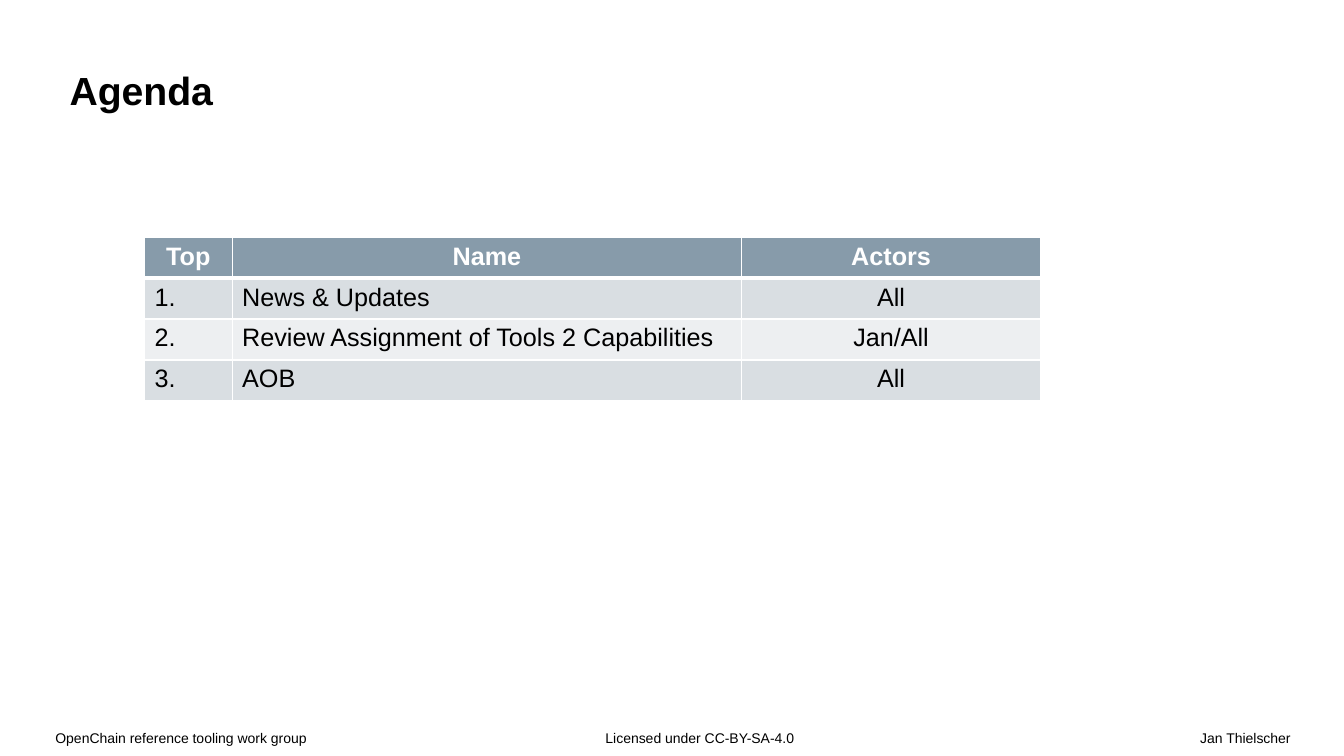
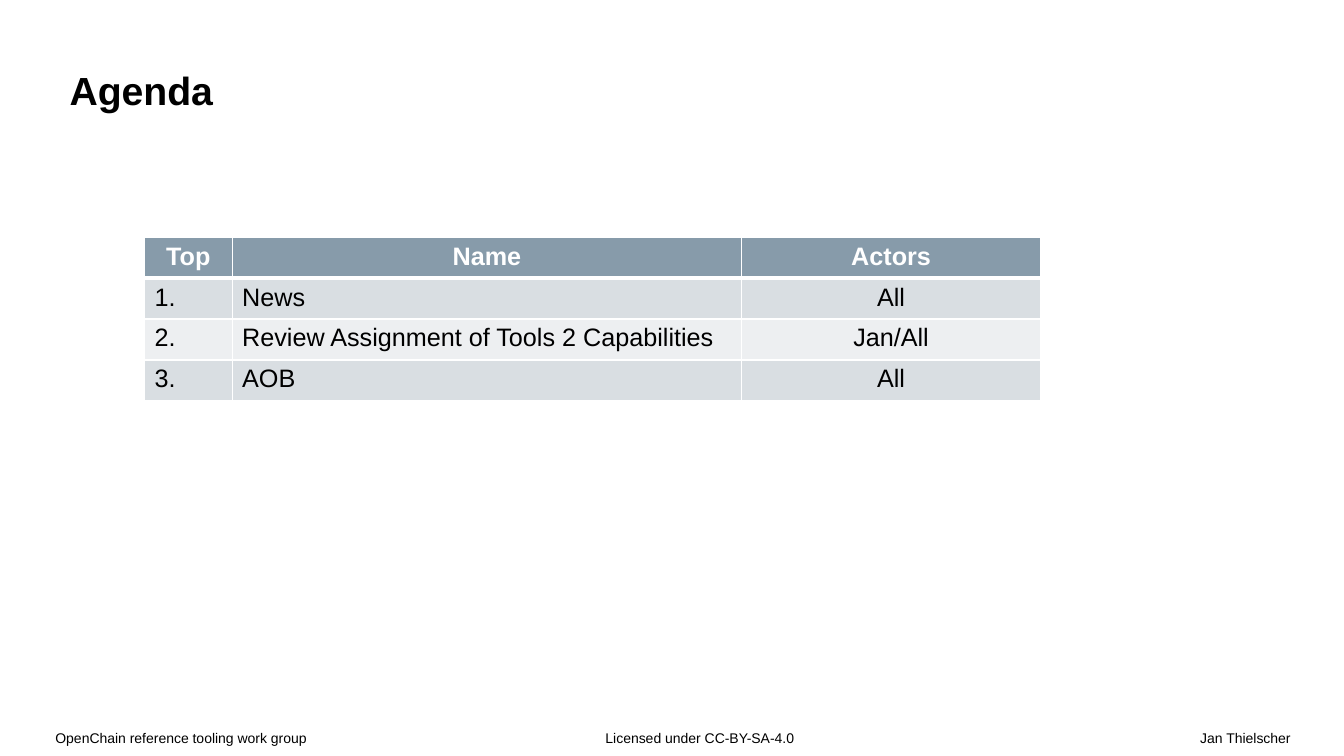
from lxml.etree import SubElement
from pptx import Presentation
from pptx.dml.color import RGBColor
from pptx.enum.text import MSO_ANCHOR, MSO_AUTO_SIZE, PP_ALIGN
from pptx.oxml.ns import qn
from pptx.util import Pt

# Content
HEADER = ("Top", "Name", "Actors")
REVIEW = ("Review Assignment of Tools 2 Capabilities", "Jan/All")
CLOSING = ("AOB", "All")
AGENDAS = [
    [("News & Updates", "All"), REVIEW, CLOSING],
    [("News", "All"), REVIEW, CLOSING],
]

# Shared style
FONT = "Arial"
BLACK, WHITE = "000000", "FFFFFF"
HEADER_FILL = "879BAA"
ROW_FILLS = ("D9DEE2", "EDEFF1")
SLIDE_WIDTH, SLIDE_HEIGHT = 960.5, 540
FOOTER_TOP, FOOTER_HEIGHT = 519.8, 20.2
# Text, left, width, left inset, right inset, alignment
FOOTERS = [
    ("OpenChain reference tooling work group", 22.3, 245, 17.3, 0, PP_ALIGN.LEFT),
    ("Licensed under CC-BY-SA-4.0", 383, 217, 49.7, 0, PP_ALIGN.LEFT),
    ("Jan Thielscher", 298, 662.5, 0, 38.2, PP_ALIGN.RIGHT),
]
TABLE_LEFT, TABLE_TOP, ROW_HEIGHT = 103.3, 169.5, 29.2
COLUMN_WIDTHS = (62.6, 364.3, 213.3)


def color(value):
    return RGBColor.from_string(value)


def set_insets(text_frame, left, top, right, bottom):
    text_frame.margin_left, text_frame.margin_top = Pt(left), Pt(top)
    text_frame.margin_right, text_frame.margin_bottom = Pt(right), Pt(bottom)


def write(text_frame, text, size, text_color=BLACK, bold=False, align=PP_ALIGN.LEFT):
    text_frame.text = text
    paragraph = text_frame.paragraphs[0]
    paragraph.alignment = align
    font = paragraph.runs[0].font
    font.name, font.size, font.bold = FONT, Pt(size), bold
    font.color.rgb = color(text_color)
    return paragraph


def set_borders(cell, **widths):
    properties = cell._tc.get_or_add_tcPr()
    for side in "LRTB":
        line = SubElement(properties, qn(f"a:ln{side}"), w=str(Pt(widths.get(side, 1))))
        fill = SubElement(line, qn("a:solidFill"))
        SubElement(fill, qn("a:srgbClr"), val=WHITE)


def add_title(slide, text):
    title = slide.shapes.title
    title.left, title.top = Pt(0), Pt(0)
    title.width, title.height = Pt(SLIDE_WIDTH), Pt(100)
    text_frame = title.text_frame
    text_frame.auto_size = MSO_AUTO_SIZE.NONE
    text_frame.vertical_anchor = MSO_ANCHOR.BOTTOM
    set_insets(text_frame, 49.7, 31, 167, 18.7)
    write(text_frame, text, 28, bold=True)


def add_footers(slide):
    for text, left, width, inset_left, inset_right, align in FOOTERS:
        box = slide.shapes.add_textbox(Pt(left), Pt(FOOTER_TOP), Pt(width), Pt(FOOTER_HEIGHT))
        box.text_frame.word_wrap = True
        set_insets(box.text_frame, inset_left, 0, inset_right, 9.4)
        write(box.text_frame, text, 10, align=align).line_spacing = 1.1


def add_agenda(slide, topics):
    rows = [HEADER] + [(f"{number}.", *topic) for number, topic in enumerate(topics, 1)]
    table = slide.shapes.add_table(
        len(rows), len(HEADER), Pt(TABLE_LEFT), Pt(TABLE_TOP),
        Pt(sum(COLUMN_WIDTHS)), Pt(ROW_HEIGHT * len(rows))).table
    for column, width in zip(table.columns, COLUMN_WIDTHS):
        column.width = Pt(width)
    for row_index, row in enumerate(rows):
        is_header = row_index == 0
        row_fill = HEADER_FILL if is_header else ROW_FILLS[(row_index - 1) % 2]
        for column_index, text in enumerate(row):
            cell = table.cell(row_index, column_index)
            # The rule below the header is heavier
            set_borders(cell, B=3 if is_header else 1, T=3 if row_index == 1 else 1)
            cell.fill.solid()
            cell.fill.fore_color.rgb = color(row_fill)
            centered = is_header or column_index == len(HEADER) - 1
            write(cell.text_frame, text, 18, WHITE if is_header else BLACK, is_header,
                  PP_ALIGN.CENTER if centered else PP_ALIGN.LEFT)


def main():
    presentation = Presentation()
    presentation.slide_width, presentation.slide_height = Pt(SLIDE_WIDTH), Pt(SLIDE_HEIGHT)
    title_only = presentation.slide_layouts[5]
    for topics in AGENDAS:
        slide = presentation.slides.add_slide(title_only)
        add_footers(slide)
        add_title(slide, "Agenda")
        add_agenda(slide, topics)
    presentation.save("out.pptx")


if __name__ == "__main__":
    main()
